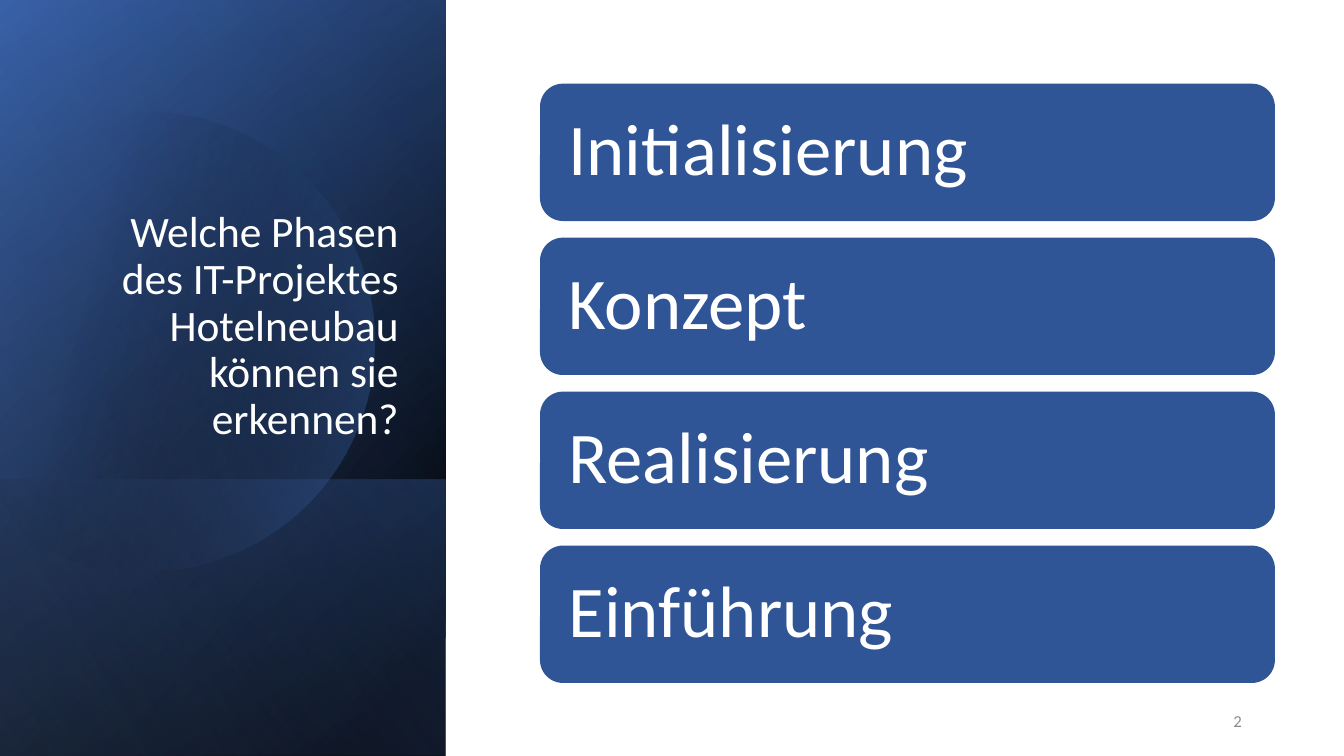
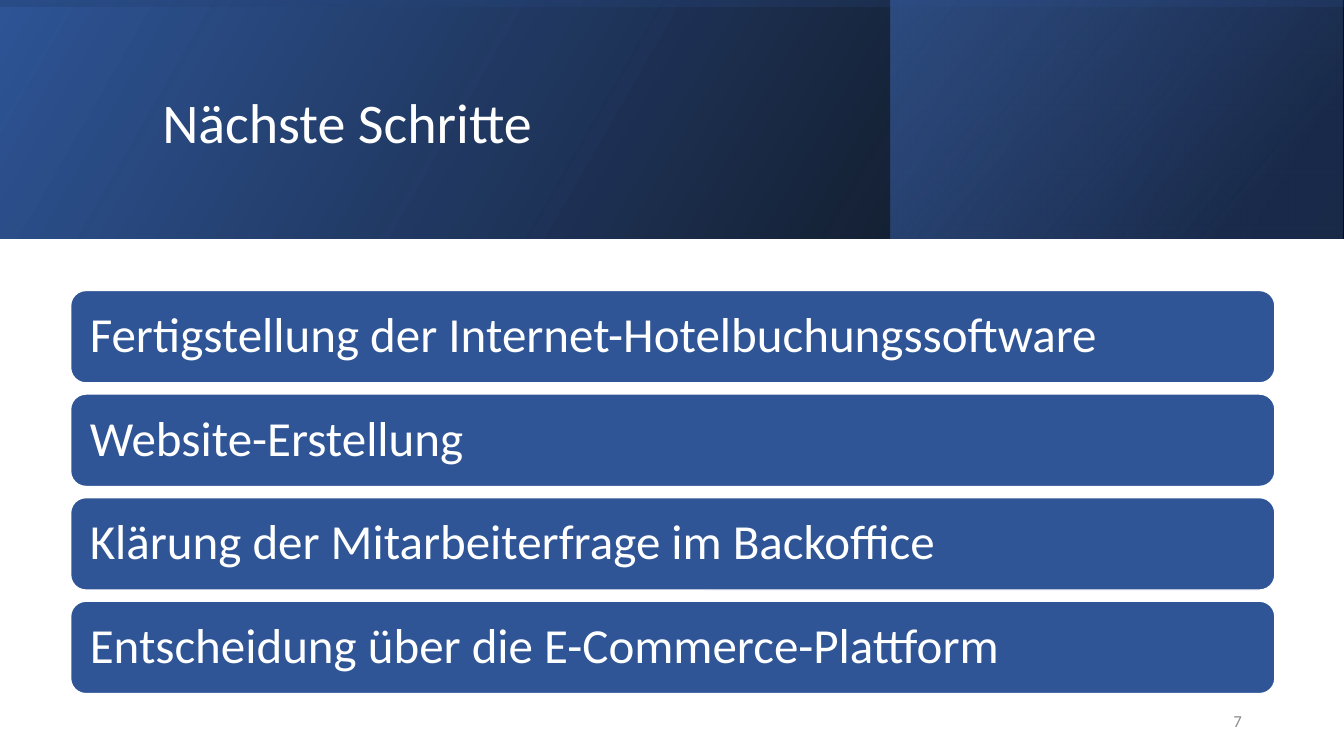
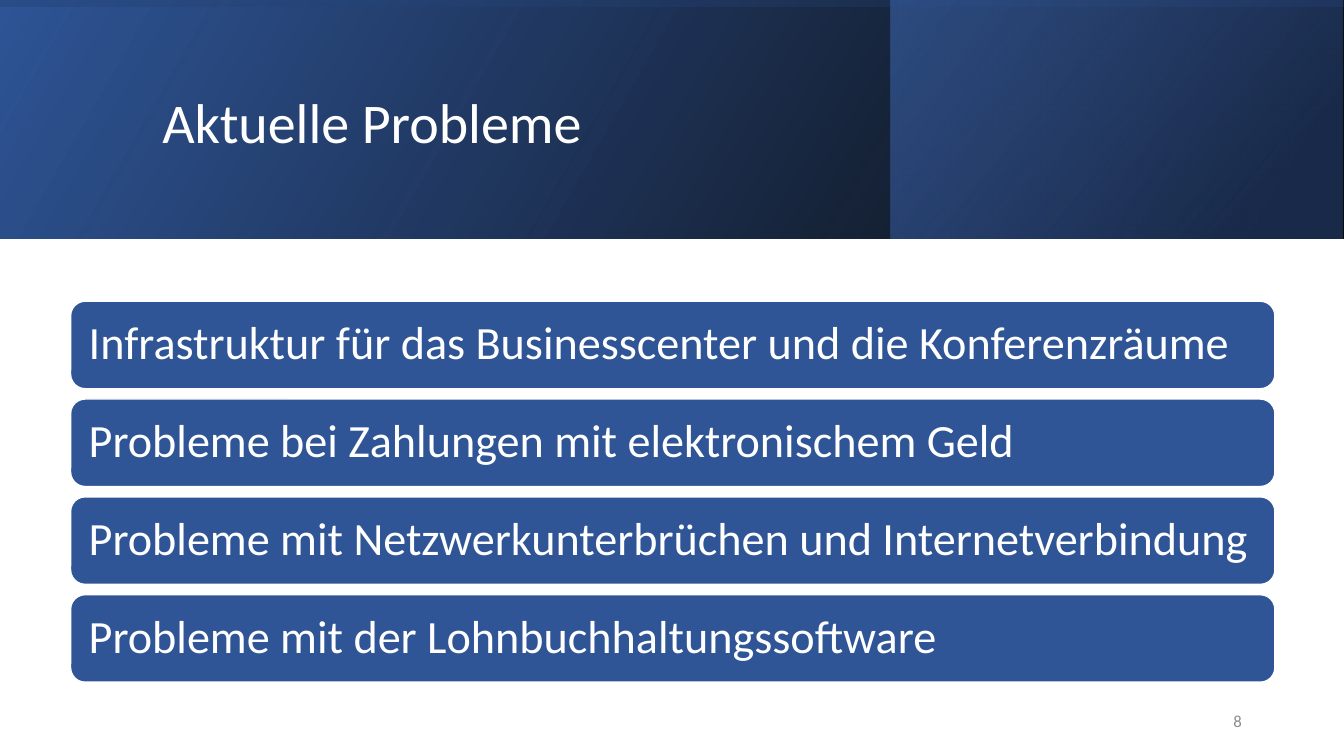
from math import acos, cos, pi, sin

from lxml import etree
from pptx import Presentation
from pptx.dml.color import RGBColor
from pptx.enum.shapes import MSO_SHAPE as Shape
from pptx.enum.text import MSO_ANCHOR as Anchor, PP_ALIGN as Align
from pptx.oxml.ns import qn
from pptx.util import Cm, Pt

# Shared style
FONT = "Calibri"
WHITE, BLACK, GREY = "FFFFFF", "000000", "8C8C8C"
BLUE, BRIGHT, PALE, NAVY = "2F5597", "4472C4", "8FAADC", "203864"
WIDTH, HEIGHT = 33.87, 19.05
PANEL_WIDTH, BAND_HEIGHT = 11.23, 6.02


def color(code):
    return RGBColor.from_string(code)


def write(shape, text, size=12, ink=WHITE, align=Align.LEFT,
          anchor=Anchor.MIDDLE, spacing=1.0, inset=None):
    frame = shape.text_frame
    frame.word_wrap = True
    frame.vertical_anchor = anchor
    if inset is not None:
        frame.margin_left = frame.margin_right = inset
        frame.margin_top = frame.margin_bottom = inset
    paragraph = frame.paragraphs[0]
    paragraph.alignment = align
    paragraph.line_spacing = spacing
    run = paragraph.add_run()
    run.text = text
    run.font.name = FONT
    run.font.size = Pt(size)
    run.font.color.rgb = color(ink)


def add_text(slide, box, text, **style):
    write(slide.shapes.add_textbox(*map(Cm, box)), text, **style)


def fill_gradient(shape, stops, angle):
    """Fill with (position, colour, opacity) stops, all in percent."""
    shape.shadow.inherit = False
    shape.line.fill.background()
    shape.fill.background()
    gradient = etree.Element(qn("a:gradFill"), rotWithShape="1")
    stop_list = etree.SubElement(gradient, qn("a:gsLst"))
    for position, code, opacity in stops:
        stop = etree.SubElement(stop_list, qn("a:gs"), pos=str(position * 1000))
        tint = etree.SubElement(stop, qn("a:srgbClr"), val=code)
        etree.SubElement(tint, qn("a:alpha"), val=str(opacity * 1000))
    etree.SubElement(gradient, qn("a:lin"), ang=str(angle * 60000), scaled="0")
    properties = shape.element.spPr
    properties.replace(properties.find(qn("a:noFill")), gradient)


def add_gradient(slide, box, stops, angle, rotation=0):
    """Cover the box with a mirrored rectangle, turned by quarter turns."""
    left, top, width, height = box
    if rotation % 180:
        left, top = left + (width - height) / 2, top + (height - width) / 2
        width, height = height, width
    shape = slide.shapes.add_shape(Shape.RECTANGLE,
                                   *map(Cm, (left, top, width, height)))
    shape.rotation = rotation
    shape.element.spPr.xfrm.set("flipH", "1")
    fill_gradient(shape, stops, angle)


def add_disc(slide, center_x, center_y, radius, cut_x):
    """Draw a disc cut off by a vertical line on its left."""
    limit = acos((cut_x - center_x) / radius)
    steps = 120
    angles = [limit * (2 * step / steps - 1) for step in range(steps + 1)]
    points = [(Cm(center_x + radius * cos(angle)), Cm(center_y + radius * sin(angle)))
              for angle in angles]
    builder = slide.shapes.build_freeform(*points[0])
    builder.add_line_segments(points[1:], close=True)
    fill_gradient(builder.convert_to_shape(),
                  [(29, BLACK, 0), (100, BRIGHT, 43)], 14)


def add_side_panel(slide, title):
    panel = (0, 0, PANEL_WIDTH, HEIGHT)
    foot = (0, 12.09, PANEL_WIDTH, HEIGHT - 12.09)
    add_gradient(slide, panel, [(8, BLACK, 100), (100, BLUE, 100)], 50, 90)
    add_gradient(slide, panel, [(0, BLACK, 0), (99, BRIGHT, 46)], 30, 90)
    add_gradient(slide, foot, [(2, BRIGHT, 29), (100, BLACK, 30)], 130, 90)
    add_disc(slide, 3.63, 8.61, 5.8, -0.38)
    add_gradient(slide, panel, [(0, BLACK, 0), (99, PALE, 11)], 120, 90)
    add_text(slide, (1.63, 4.67, 8.66, 6.65), title, size=31,
             align=Align.RIGHT, anchor=Anchor.BOTTOM, spacing=0.9)


def add_top_band(slide, title):
    band = (0, 0, WIDTH, BAND_HEIGHT)
    corner = (22.45, 0, 11.38, BAND_HEIGHT)
    add_gradient(slide, band, [(0, BLACK, 96), (100, BLUE, 100)], 330)
    add_gradient(slide, corner, [(19, NAVY, 68), (100, BRIGHT, 48)], 320)
    add_gradient(slide, band, [(23, BLUE, 16), (99, BLACK, 45)], 350, 270)
    add_text(slide, (3.84, 0.97, 27, 4.37), title, size=40, spacing=0.9)


def add_cards(slide, box, gap, size, labels, outline=None):
    """Stack equal cards in the box; padding follows the text size."""
    left, top, width, height = box
    card_height = (height - gap * (len(labels) - 1)) / len(labels)
    for index, label in enumerate(labels):
        card_top = top + index * (card_height + gap)
        card = slide.shapes.add_shape(Shape.ROUNDED_RECTANGLE, Cm(left), Cm(card_top),
                                      Cm(width), Cm(card_height))
        card.shadow.inherit = False
        card.fill.solid()
        card.fill.fore_color.rgb = color(BLUE)
        if outline:
            card.line.color.rgb = color(outline)
            card.line.width = Pt(1)
        else:
            card.line.fill.background()
        write(card, label, size=size, spacing=0.9, inset=Pt(0.3 * size))


def add_number(slide, number):
    add_text(slide, (23.93, 17.65, 7.62, 1.01), str(number),
             ink=GREY, align=Align.RIGHT)


def add_slide(presentation, header, title, number, **cards):
    slide = presentation.slides.add_slide(presentation.slide_layouts[6])
    header(slide, title)
    add_cards(slide, **cards)
    add_number(slide, number)


def main():
    presentation = Presentation()
    presentation.slide_width, presentation.slide_height = Cm(WIDTH), Cm(HEIGHT)

    # Project phases
    add_slide(presentation, add_side_panel,
              "Welche Phasen des IT-Projektes Hotelneubau können sie erkennen?", 2,
              box=(13.61, 2.11, 18.52, 15.1), gap=0.42, size=52,
              labels=["Initialisierung", "Konzept", "Realisierung", "Einführung"])

    # Next steps
    add_slide(presentation, add_top_band, "Nächste Schritte", 7,
              box=(1.78, 7.32, 30.35, 10.16), gap=0.28, size=35, outline=WHITE,
              labels=["Fertigstellung der Internet-Hotelbuchungssoftware",
                      "Website-Erstellung",
                      "Klärung der Mitarbeiterfrage im Backoffice",
                      "Entscheidung über die E-Commerce-Plattform"])

    # Current problems
    add_slide(presentation, add_top_band, "Aktuelle Probleme", 8,
              box=(1.78, 7.59, 30.35, 9.6), gap=0.26, size=33, outline=WHITE,
              labels=["Infrastruktur für das Businesscenter und die Konferenzräume",
                      "Probleme bei Zahlungen mit elektronischem Geld",
                      "Probleme mit Netzwerkunterbrüchen und Internetverbindung",
                      "Probleme mit der Lohnbuchhaltungssoftware"])

    presentation.save("out.pptx")


if __name__ == "__main__":
    main()
